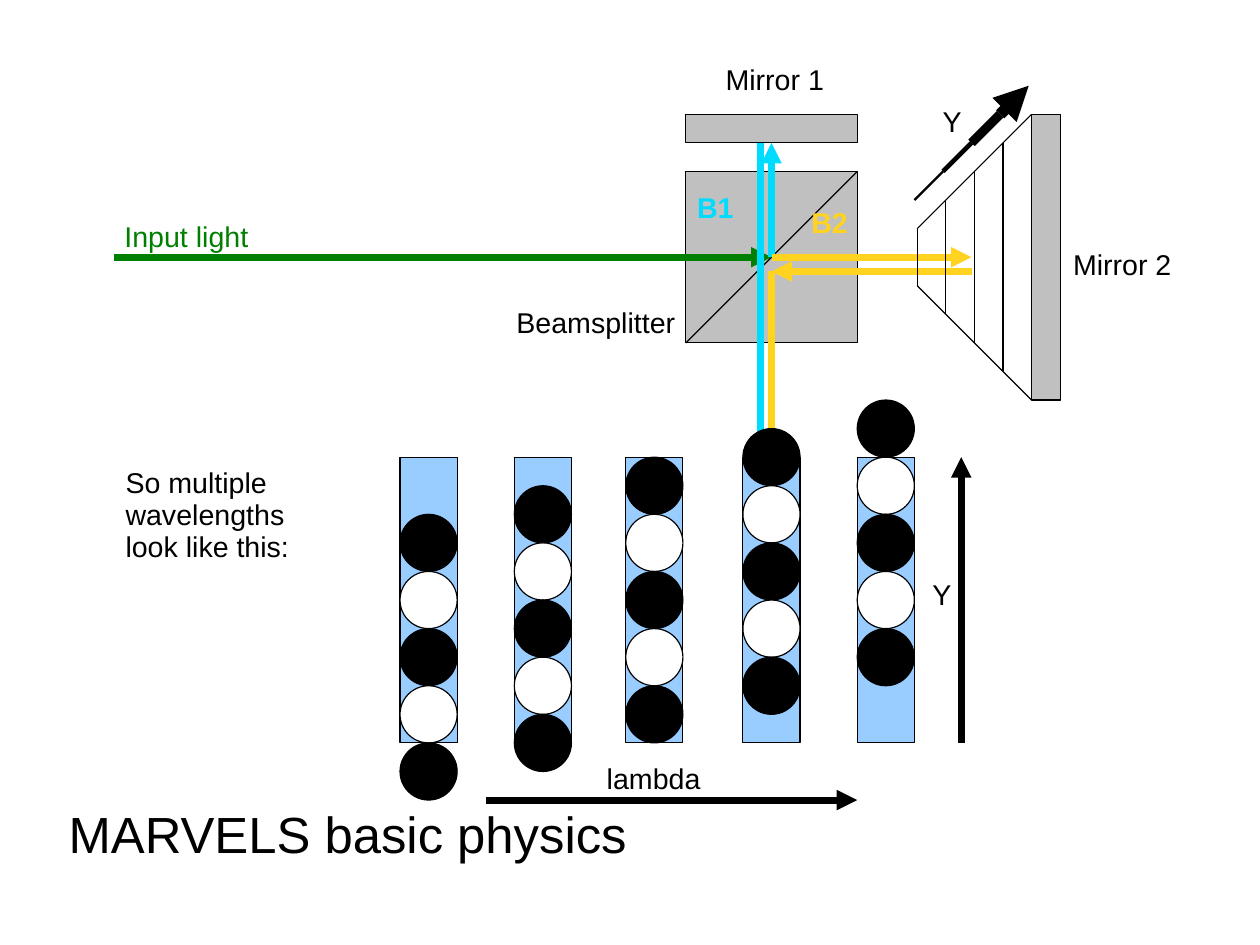
from dataclasses import dataclass

from lxml import etree
from pptx import Presentation, util as u
from pptx.dml.color import RGBColor
from pptx.enum import shapes, text
from pptx.oxml import ns

CELL = 0.25
BLACK = RGBColor(0x00, 0x00, 0x00)
WHITE = RGBColor(0xFF, 0xFF, 0xFF)
GREY = RGBColor(0xC0, 0xC0, 0xC0)
GREEN = RGBColor(0x00, 0x80, 0x00)
CYAN = RGBColor(0x00, 0xDC, 0xFF)
YELLOW = RGBColor(0xFF, 0xD3, 0x20)
BLUE = RGBColor(0x99, 0xCC, 0xFF)
HAIRLINE = 0.75
BEAM = 4.31
RECTANGLE = shapes.MSO_SHAPE.RECTANGLE
OVAL = shapes.MSO_SHAPE.OVAL


@dataclass
class Box:
    left: float
    top: float
    width: float
    height: float

    @property
    def right(self):
        return self.left + self.width

    @property
    def bottom(self):
        return self.top + self.height

    def lengths(self):
        return [cells(n) for n in (self.left, self.top, self.width, self.height)]


def cells(count):
    return u.Inches(count * CELL)


def apply(target, values):
    for name, value in values.items():
        setattr(target, name, value)


def add_block(page, kind, box, color):
    block = page.shapes.add_shape(kind, *box.lengths())
    block.shadow.inherit = False
    block.fill.solid()
    block.fill.fore_color.rgb = color
    block.line.color.rgb = BLACK
    block.line.width = u.Pt(HAIRLINE)
    return block


def add_line(page, start, end, color=BLACK, width=HAIRLINE, arrow=False):
    line = page.shapes.add_connector(
        shapes.MSO_CONNECTOR.STRAIGHT, *[cells(n) for n in (*start, *end)])
    line.line.color.rgb = color
    line.line.width = u.Pt(width)
    if arrow:
        etree.SubElement(line.line._get_or_add_ln(), ns.qn("a:tailEnd"), type="triangle")
    etree.SubElement(line._element.spPr, ns.qn("a:effectLst"))
    return line


def write(holder, words, color=BLACK, size=18, bold=False):
    frame = holder.text_frame
    apply(frame, {
        "word_wrap": True,
        "auto_size": text.MSO_AUTO_SIZE.NONE,
        "vertical_anchor": text.MSO_ANCHOR.TOP,
        "margin_left": u.Inches(0.1),
        "margin_right": u.Inches(0.1),
        "margin_top": u.Inches(0.07),
        "margin_bottom": u.Inches(0.05),
    })
    para = frame.paragraphs[0]
    apply(para, {"alignment": text.PP_ALIGN.LEFT, "line_spacing": 0.93})
    span = para.add_run()
    span.text = words
    apply(span.font, {"name": "Arial", "size": u.Pt(size), "bold": bold})
    span.font.color.rgb = color


def add_label(page, box, words, color=BLACK, bold=False):
    write(page.shapes.add_textbox(*box.lengths()), words, color, bold=bold)


def place_title(page, box):
    title = page.shapes.title
    left, top, width, height = box.lengths()
    apply(title, {"left": left, "top": top, "width": width, "height": height})
    write(title, "MARVELS basic physics", size=32)


def place_beamsplitter(page, box):
    middle, center = box.left + box.width / 2, box.top + box.height / 2
    mirror_edge = box.top - 1
    screen = box.bottom + 4
    shifted, lowered = middle - 0.4, center + 0.5
    far = middle + 7

    add_block(page, RECTANGLE, box, GREY)
    add_line(page, (box.left, box.bottom), (box.right, box.top))
    mirror = add_block(page, RECTANGLE, Box(box.left, mirror_edge - 1, box.width, 1), GREY)
    add_line(page, (box.left, mirror_edge), (box.right, mirror_edge))

    beams = [
        add_line(page, start, end, color, BEAM, True)
        for start, end, color in (
            ((middle - 23, center), (middle, center), GREEN),
            ((middle, center), (middle, mirror_edge), CYAN),
            ((shifted, mirror_edge), (shifted, screen), CYAN),
            ((middle, center), (far, center), YELLOW),
            ((far, lowered), (middle, lowered), YELLOW),
            ((middle, lowered), (middle, screen), YELLOW),
        )
    ]
    beams[1].end_connect(mirror, 2)

    add_label(page, Box(box.left, box.top + 0.48, 2.4, 1.5), "B1", CYAN, True)
    add_label(page, Box(box.left + 4, box.top + 1, 2.4, 1.5), "B2", YELLOW, True)
    add_label(page, Box(box.left - 20.04, box.top + 1.48, 5.6, 1.5), "Input light", GREEN)
    add_label(page, Box(box.left - 6.32, box.top + 4.48, 6.8, 1.5), "Beamsplitter")
    add_label(page, Box(box.left + 1, box.top - 4, 4.6, 1.5), "Mirror 1")
    return beams[-1]


def place_tilted_mirror(page, box):
    steps = box.width - 1
    edge = box.left + steps
    add_block(page, RECTANGLE, Box(edge, box.top, 1, box.height), GREY)
    for step in range(steps + 1):
        inset = steps - step
        column = box.left + step
        add_line(page, (column, box.top + inset), (column, box.bottom - inset))
    add_line(page, (edge, box.top), (box.left, box.top + steps))
    add_line(page, (box.left, box.bottom - steps), (edge, box.bottom))

    tail = box.left - 0.1, box.top + 3
    widths = (1.45, 2.89, 5.75, 7.2)
    for step, width in enumerate(widths):
        add_line(page, (tail[0] + step, tail[1] - step),
                 (tail[0] + step + 1, tail[1] - step - 1),
                 width=width, arrow=width == widths[-1])
    add_label(page, Box(box.left + 0.5, box.top - 0.52, 1.6, 1.5), "Y")
    add_label(page, Box(box.right + 0.06, box.top + 4.48, 4.6, 1.5), "Mirror 2")


def place_fringes(page, box):
    columns = []
    for number, offset in enumerate((0, 4, 7.9, 12, 16)):
        left = box.left + offset
        columns.append(add_block(page, RECTANGLE, Box(left, box.top, 2, box.height), BLUE))
        for row in range(5):
            top = box.top + 2 - number + 2 * row
            add_block(page, OVAL, Box(left, top, 2, 2), WHITE if row % 2 else BLACK)

    axis = box.right + 1.64
    add_line(page, (axis, box.bottom), (axis, box.top), width=BEAM, arrow=True)
    add_label(page, Box(axis - 1.4, box.top + 4, 1.6, 1.5), "Y")
    base = box.bottom + 2
    add_line(page, (box.left + 3, base), (box.right - 2, base), width=BEAM, arrow=True)
    add_label(page, Box(box.left + 6.84, base - 1.54, 5, 2), "lambda")
    add_label(page, Box(box.left - 10, box.top + 0.1, 8, 4.2),
              "So multiple wavelengths look like this:")
    return columns


def main():
    deck = Presentation()
    apply(deck, {"slide_width": u.Cm(28), "slide_height": u.Cm(21)})
    page = deck.slides.add_slide(deck.slide_layouts[5])
    place_title(page, Box(2, 28, 22, 2.4))
    output_beam = place_beamsplitter(page, Box(24, 6, 6, 6))
    place_tilted_mirror(page, Box(32.1, 4, 5, 10))
    columns = place_fringes(page, Box(14, 16, 18, 10))
    output_beam.end_connect(columns[3], 0)
    deck.save("out.pptx")


if __name__ == "__main__":
    main()
